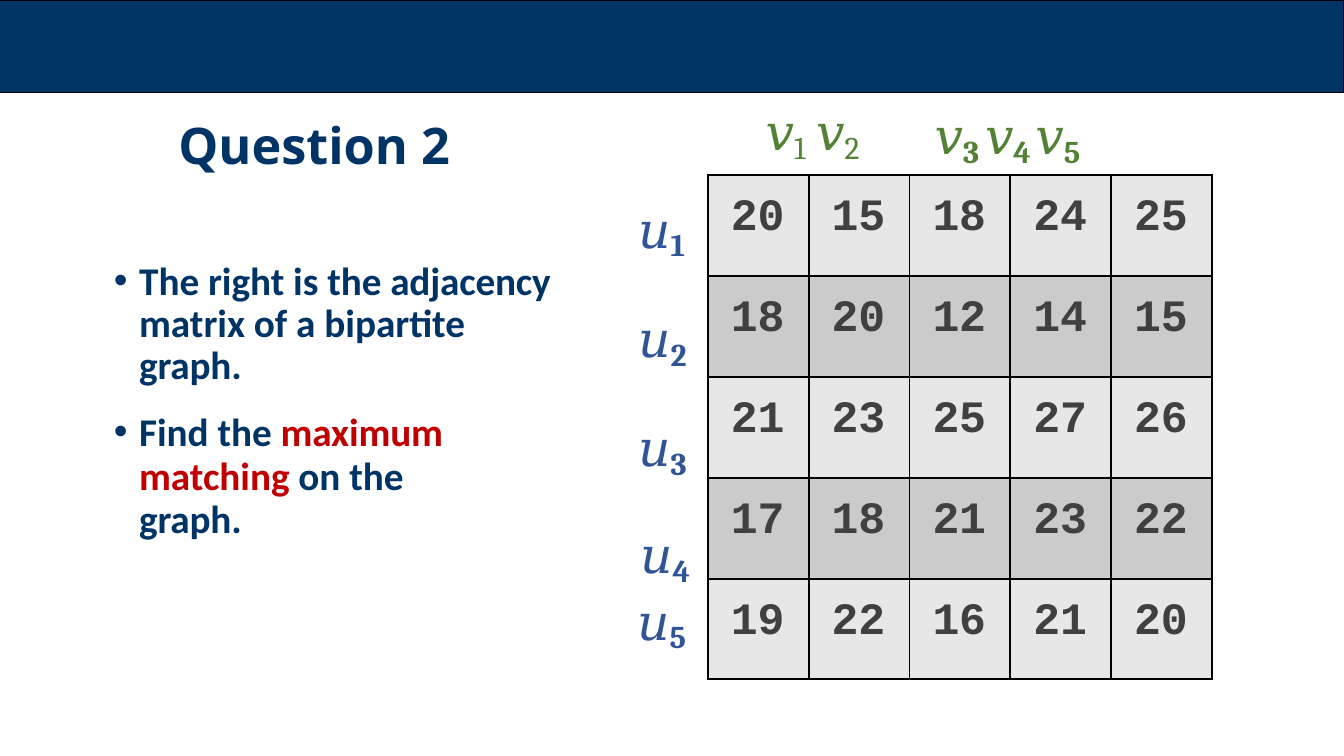
from dataclasses import dataclass
from typing import Optional

from lxml.etree import SubElement
from pptx import Presentation
from pptx.dml.color import RGBColor
from pptx.enum.shapes import MSO_SHAPE as Shape
from pptx.enum.text import MSO_ANCHOR as Anchor, MSO_AUTO_SIZE as AutoSize, PP_ALIGN as Align
from pptx.oxml import parse_xml
from pptx.oxml.ns import nsdecls, qn
from pptx.util import Inches, Pt

UNIT = Inches(1)  # one matrix cell; the slide is a grid of such cells
SLIDE_COLS, SLIDE_ROWS = 13.33, 7.5
NAVY, GREEN, BLUE, RED = "003366", "548235", "2F5597", "C00000"
GREY, BLACK = "404040", "000000"
STRIPES = ("E7E7E7", "CBCBCB")
WEIGHTS = (
    (20, 15, 18, 24, 25),
    (18, 20, 12, 14, 15),
    (21, 23, 25, 27, 26),
    (17, 18, 21, 23, 22),
    (19, 22, 16, 21, 20),
)


@dataclass(frozen=True)
class Box:
    col: float
    row: float
    cols: float
    rows: float

    def place(self) -> tuple[int, ...]:
        return tuple(grid(n) for n in (self.col, self.row, self.cols, self.rows))


@dataclass(frozen=True)
class Piece:
    text: str
    size: float
    font: str
    color: str
    bold: bool = True
    spacing: float = 0
    baseline: int = 0


@dataclass(frozen=True)
class Para:
    pieces: list[Piece]
    before: Optional[float] = None
    indent: float = 0
    hanging: float = 0
    right: float = 0
    line: Optional[float] = None
    tabs: tuple[float, ...] = ()
    bullet: bool = False
    align: Align = Align.LEFT


def grid(cells: float) -> int:
    return round(cells * UNIT)


def rgb(color: str) -> RGBColor:
    return RGBColor.from_string(color)


def write(paragraph, para: Para) -> None:
    props = paragraph._p.get_or_add_pPr()
    props.set("marL", str(grid(para.indent)))
    props.set("marR", str(grid(para.right)))
    props.set("indent", str(-grid(para.hanging)))
    if para.bullet:
        SubElement(props, qn("a:buFont"), typeface="Arial")
        SubElement(props, qn("a:buChar"), char="•")
    if para.tabs:
        stops = SubElement(props, qn("a:tabLst"))
        for stop in para.tabs:
            SubElement(stops, qn("a:tab"), pos=str(grid(stop)), algn="l")
    paragraph.alignment = para.align
    if para.before is not None:
        paragraph.space_before = Pt(para.before)
    if para.line is not None:
        paragraph.line_spacing = Pt(para.line)
    for piece in para.pieces:
        run = paragraph.add_run()
        run.text = piece.text
        run.font.name = piece.font
        run.font.size = Pt(piece.size)
        run.font.bold = piece.bold
        run.font.color.rgb = rgb(piece.color)
        run_props = run._r.get_or_add_rPr()
        run_props.set("spc", str(round(piece.spacing * 100)))
        if piece.baseline:
            run_props.set("baseline", str(piece.baseline * 1000))


def fill_text(shape, box: Box, paras: list[Para], top: float = 0.01) -> None:
    shape.left, shape.top, shape.width, shape.height = box.place()
    frame = shape.text_frame
    frame.word_wrap = True
    frame.auto_size = AutoSize.SHAPE_TO_FIT_TEXT
    frame.margin_left = frame.margin_right = frame.margin_bottom = 0
    frame.margin_top = grid(top)
    for i, para in enumerate(paras):
        write(frame.add_paragraph() if i else frame.paragraphs[0], para)


def add_text(slide, box: Box, paras: list[Para], top: float = 0.01) -> None:
    fill_text(slide.shapes.add_textbox(*box.place()), box, paras, top)


def vertices(letter: str, numbers: str, color: str, bold: bool = True) -> list[Piece]:
    """Letters with subscript numbers, parted by tabs."""
    pieces = []
    for number in numbers:
        tab = "" if number == numbers[-1] else "\t"
        pieces += [
            Piece(letter, 36, "Cambria", color, bold, -0.2),
            Piece(number + tab, 39, "Cambria", color, bold, -0.4, -16),
        ]
    return pieces


def prose(text: str, color: str = NAVY, spacing: float = 0) -> Piece:
    return Piece(text, 28, "Calibri", color, spacing=spacing)


def add_band(slide) -> None:
    band = slide.shapes.add_shape(Shape.RECTANGLE, *Box(0, 0, SLIDE_COLS, 0.92).place())
    band.shadow.inherit = False
    band.fill.solid()
    band.fill.fore_color.rgb = rgb(NAVY)
    band.line.color.rgb = rgb(BLACK)
    band.line.width = Pt(0.75)


def add_borders(cell) -> None:
    props = cell._tc.get_or_add_tcPr()
    for i, side in enumerate("LRTB"):
        props.insert(i, parse_xml(
            f'<a:ln{side} {nsdecls("a")} w="{Pt(1.5)}"><a:solidFill>'
            f'<a:srgbClr val="{BLACK}"/></a:solidFill></a:ln{side}>'))


def add_matrix(slide, col: float, row: float) -> None:
    size = len(WEIGHTS)
    matrix = slide.shapes.add_table(size, size, *Box(col, row, size, size).place()).table
    for r, weights in enumerate(WEIGHTS):
        matrix.rows[r].height = matrix.columns[r].width = UNIT
        for c, weight in enumerate(weights):
            cell = matrix.cell(r, c)
            cell.margin_left = cell.margin_top = cell.margin_bottom = 0
            cell.margin_right = grid(0.24)
            cell.margin_top = grid(0.18)
            cell.vertical_anchor = Anchor.TOP
            cell.fill.solid()
            cell.fill.fore_color.rgb = rgb(STRIPES[r % 2])
            add_borders(cell)
            number = Piece(str(weight), 32, "Courier New", GREY, spacing=-0.2)
            write(cell.text_frame.paragraphs[0], Para([number], align=Align.RIGHT))


def main() -> None:
    deck = Presentation()
    deck.slide_width, deck.slide_height = grid(SLIDE_COLS), grid(SLIDE_ROWS)
    slide = deck.slides.add_slide(deck.slide_layouts[5])
    add_band(slide)
    add_matrix(slide, 7.02, 1.74)

    first_columns = Para(vertices("𝑣", "12", GREEN, bold=False),
                         indent=0.06, tabs=(1.03,), align=Align.CENTER)
    fill_text(slide.shapes.title, Box(7.25, 0.98, 1.56, 0.63), [first_columns])
    slide.shapes.title.text_frame.vertical_anchor = Anchor.MIDDLE
    add_text(slide, Box(9.21, 0.98, 2.61, 0.63),
             [Para(vertices("𝑣", "345", GREEN), indent=0.06, tabs=(1.1, 2.06))])

    row_gaps = {"1": None, "2": 28.4, "3": 28.2, "4": 26.6}
    add_text(slide, Box(6.29, 1.91, 0.6, 3.58),
             [Para(vertices("𝑢", number, BLUE), gap, indent=0.06 if number == "4" else 0.04)
              for number, gap in row_gaps.items()])
    add_text(slide, Box(6.31, 5.91, 0.52, 0.69),
             [Para(vertices("𝑢", "5", BLUE), indent=0.01, line=42.4)], top=0)

    add_text(slide, Box(1.76, 1.12, 2.76, 0.63), [Para([
        Piece("Question ", 36, "Open Sans", NAVY),
        Piece("2", 36, "Open Sans", NAVY, spacing=-0.5),
    ], indent=0.01)])
    add_text(slide, Box(1.12, 2.52, 4.52, 2.01), [
        Para([prose("The right is the"), prose(" adjacency ", spacing=-0.1),
              prose("matrix of a bipartite "), prose("graph.", spacing=-0.1)],
             indent=0.26, hanging=0.25, right=0.1, line=30, bullet=True),
        Para([prose("Find the "), prose("maximum ", RED, -0.1), prose("matching ", RED),
              prose("on the "), prose("graph.", spacing=-0.1)],
             17.2, indent=0.26, hanging=0.25, right=0.9, line=31, bullet=True),
    ], top=0.07)
    deck.save("out.pptx")


if __name__ == "__main__":
    main()
